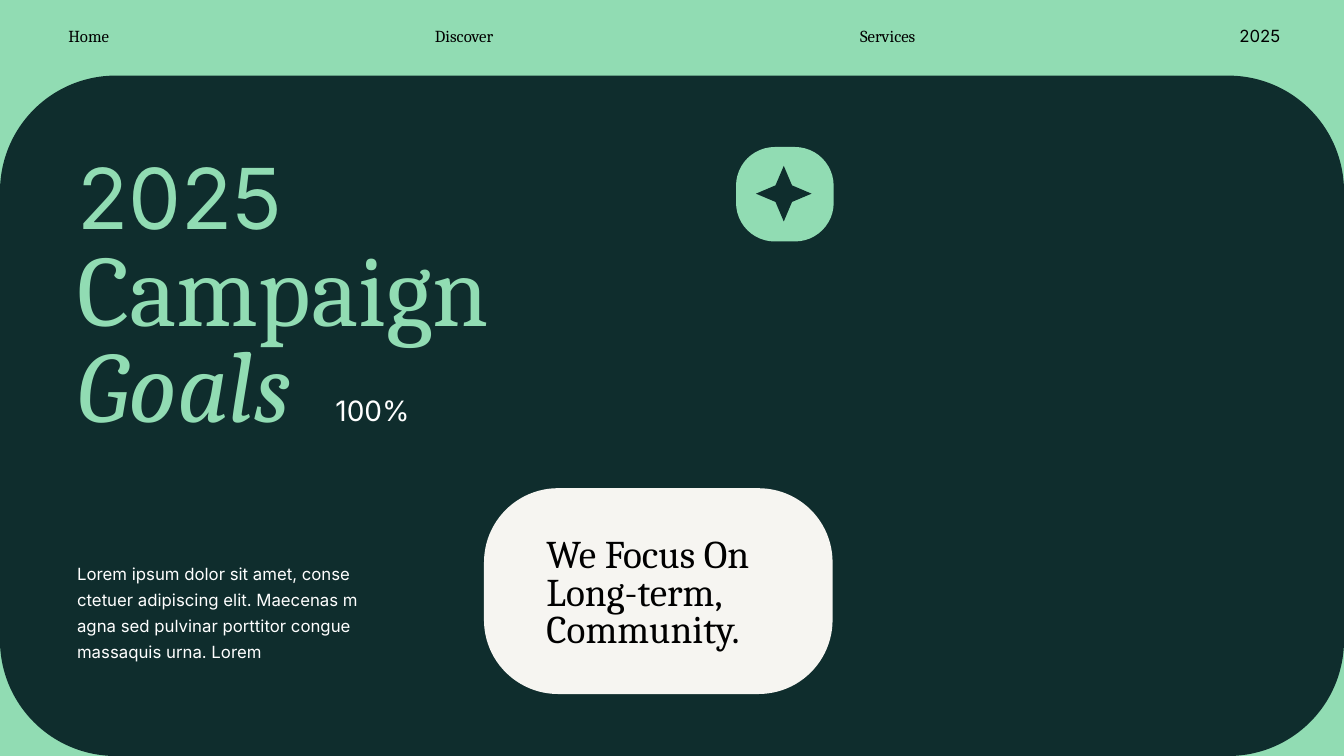
from pptx import Presentation
from pptx import util as u
from pptx.dml.color import RGBColor
from pptx.enum import shapes, text

PX = 9525
MINT = RGBColor(0x91, 0xDC, 0xB3)
PINE = RGBColor(0x0F, 0x2D, 0x2D)
IVORY = RGBColor(0xF6, 0xF5, 0xF1)
BLACK = RGBColor(0, 0, 0)
WHITE = RGBColor(255, 255, 255)

NAVIGATION = [
    ("Home", "Cambria", 52, 65),
    ("Discover", "Cambria", 399, 86),
    ("Services", "Cambria", 804, 83),
    ("2025", "Inter", 1170, 60),
]
BODY = [
    "Lorem ipsum dolor sit amet, conse",
    "ctetuer adipiscing elit. Maecenas m",
    "agna sed pulvinar porttitor congue massaquis urna. Lorem",
]


def px(*lengths):
    return [u.Emu(length * PX) for length in lengths]


def style(name, size, color, italic=False):
    return {"name": name, "size": u.Pt(size), "color": color, "italic": italic}


def apply_font(font, values):
    for key, value in values.items():
        if key == "color":
            font.color.rgb = value
        else:
            setattr(font, key, value)


def add_panel(parent, kind, box, color, adjustment):
    shape = parent.add_shape(kind, *px(*box))
    shape.shadow.inherit = False
    shape.fill.solid()
    shape.fill.fore_color.rgb = color
    shape.line.fill.background()
    shape.adjustments[0] = adjustment
    return shape


def add_text(slide, box, paragraphs, wrap=True, **paragraph_format):
    frame = slide.shapes.add_textbox(*px(*box)).text_frame
    frame.word_wrap = wrap
    frame.auto_size = text.MSO_AUTO_SIZE.SHAPE_TO_FIT_TEXT
    for index, runs in enumerate(paragraphs):
        paragraph = frame.add_paragraph() if index else frame.paragraphs[0]
        for key, value in paragraph_format.items():
            setattr(paragraph, key, value)
        for wording, values in runs:
            run = paragraph.add_run()
            run.text = wording
            apply_font(run.font, values)


def add_navigation(slide):
    for label, font_name, left, width in NAVIGATION:
        add_text(slide, (left, 20, width, 29), [[(label, style(font_name, 12, BLACK))]],
                 wrap=False, alignment=text.PP_ALIGN.CENTER)


def add_star_badge(slide):
    badge = slide.shapes.add_group_shape().shapes
    add_panel(badge, shapes.MSO_SHAPE.ROUNDED_RECTANGLE, (701, 140, 93, 90), MINT, 0.41)
    add_panel(badge, shapes.MSO_SHAPE.STAR_4_POINT, (720, 158, 53, 53), PINE, 0.21)


def main():
    presentation = Presentation()
    presentation.slide_width, presentation.slide_height = px(1280, 720)
    slide = presentation.slides.add_slide(presentation.slide_layouts[6])
    slide.background.fill.solid()
    slide.background.fill.fore_color.rgb = MINT

    add_navigation(slide)
    rounded = shapes.MSO_SHAPE.ROUNDED_RECTANGLE
    add_panel(slide.shapes, rounded, (0, 72, 1280, 648), PINE, 0.17)
    title = [
        ("2025", style("Inter", 60, MINT)),
        (" Campaign ", style("Cambria", 72, MINT)),
        ("Goals", style("Cambria", 72, MINT, italic=True)),
    ]
    add_text(slide, (64, 140, 489, 289), [title], line_spacing=0.8)
    add_panel(slide.shapes, rounded, (461, 465, 332, 196), IVORY, 0.36)
    add_text(slide, (511, 508, 246, 118),
             [[("We Focus On Long-term, Community.", style("Cambria", 28, BLACK))]],
             line_spacing=0.8)
    add_text(slide, (64, 526, 309, 108),
             [[(line, style("Inter", 12, WHITE))] for line in BODY], line_spacing=1.3)
    add_star_badge(slide)
    add_text(slide, (310, 370, 92, 42), [[("100%", style("Inter", 20, WHITE))]])
    presentation.save("out.pptx")


if __name__ == "__main__":
    main()
